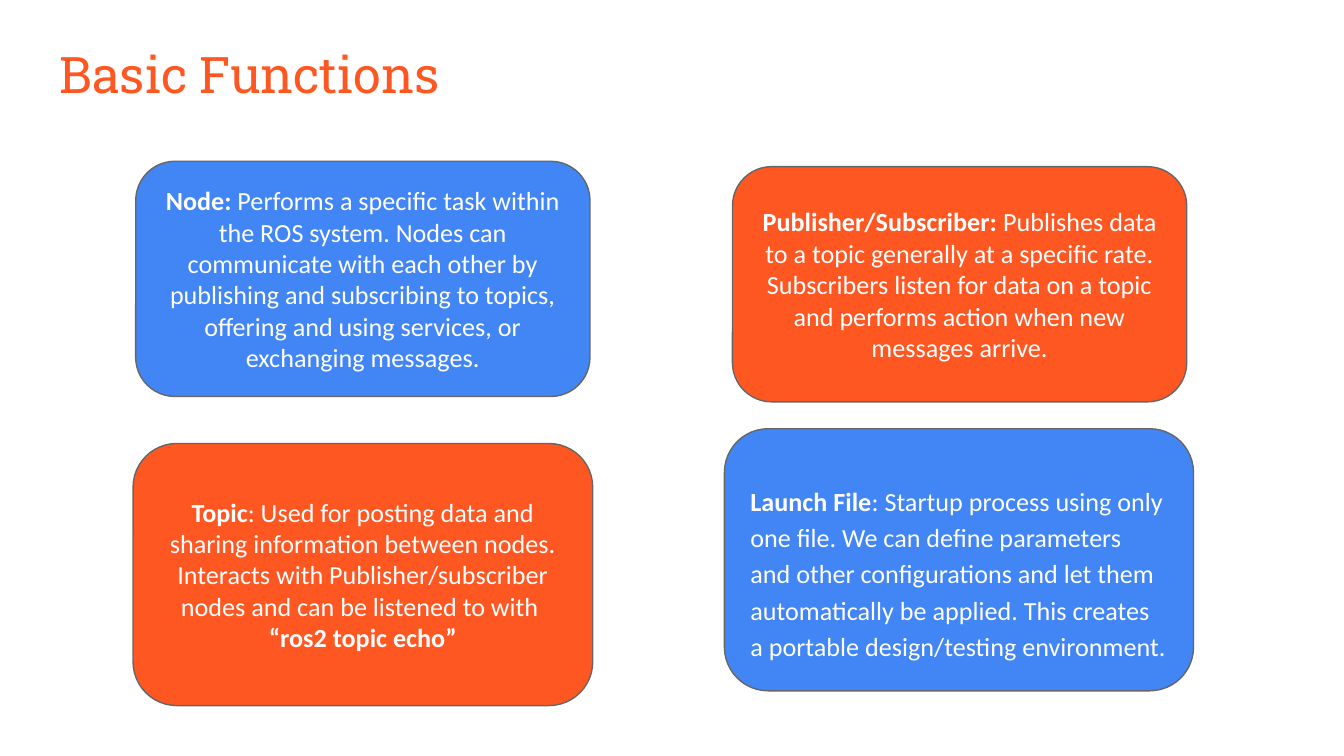
from dataclasses import dataclass

from pptx import Presentation
from pptx.dml.color import RGBColor
from pptx.enum.shapes import MSO_SHAPE
from pptx.enum.text import MSO_ANCHOR, MSO_AUTO_SIZE, PP_ALIGN
from pptx.util import Inches, Pt

ROUNDED = MSO_SHAPE.ROUNDED_RECTANGLE
TOP, MIDDLE = MSO_ANCHOR.TOP, MSO_ANCHOR.MIDDLE
LEFT, CENTER = PP_ALIGN.LEFT, PP_ALIGN.CENTER
NO_AUTOFIT = MSO_AUTO_SIZE.NONE
TITLE_ONLY = 5


@dataclass(frozen=True)
class Theme:
    """Colours, fonts and sizes of the slide."""
    orange: RGBColor = RGBColor(0xFF, 0x57, 0x22)
    blue: RGBColor = RGBColor(0x42, 0x85, 0xF4)
    outline: RGBColor = RGBColor(0x66, 0x66, 0x66)
    white: RGBColor = RGBColor(0xFF, 0xFF, 0xFF)
    title_font: str = "Roboto Slab"
    body_font: str = "Calibri"
    title_size: Pt = Pt(27)
    body_size: Pt = Pt(14)
    outline_width: Pt = Pt(0.75)
    inset: Inches = Inches(0.1)


THEME = Theme()
CENTERED = {"alignment": CENTER}
SPACED = {"alignment": LEFT, "line_spacing": 1.15}

# Each card: box, colour, paragraph format, top inset, paragraphs of (text, bold) runs
CARDS = [
    ((1.01, 1.2, 3.38, 1.75), THEME.blue, CENTERED, 0.1, [
        [("Node:", True),
         (" Performs a specific task within the ROS system. Nodes can "
          "communicate with each other by publishing and subscribing to "
          "topics, offering and using services, or exchanging messages.", False)],
    ]),
    ((0.99, 3.3, 3.42, 1.95), THEME.orange, CENTERED, 0.1, [
        [("Topic", True),
         (": Used for posting data and sharing information between nodes. "
          "Interacts with Publisher/subscriber nodes and can be listened to "
          "with ", False)],
        [("“ros2 topic echo”", True)],
    ]),
    ((5.45, 1.24, 3.38, 1.75), THEME.orange, CENTERED, 0.1, [
        [("Publisher/Subscriber:", True),
         (" Publishes data to a topic generally at a specific rate. "
          "Subscribers listen for data on a topic and performs action when "
          "new messages arrive.", False)],
    ]),
    ((5.39, 3.19, 3.49, 1.95), THEME.blue, SPACED, 0.27, [
        [("Launch File", True),
         (": Startup process using only one file. We can define parameters "
          "and other configurations and let them automatically be applied. "
          "This creates a portable design/testing environment.", False)],
    ]),
]


def apply_format(target, values):
    """Set every attribute named in values on target."""
    for name, value in values.items():
        setattr(target, name, value)


def format_frame(frame, anchor, top_inset=THEME.inset):
    """Give a text frame its insets, wrapping and anchor."""
    apply_format(frame, {
        "margin_left": THEME.inset, "margin_right": THEME.inset,
        "margin_top": top_inset, "margin_bottom": THEME.inset,
        "word_wrap": True, "auto_size": NO_AUTOFIT, "vertical_anchor": anchor,
    })


def add_run(paragraph, text, color, **font_values):
    """Append a coloured run with the given font values."""
    run = paragraph.add_run()
    run.text = text
    apply_format(run.font, font_values)
    run.font.color.rgb = color


def place_title(slide, box, text):
    """Fill the title placeholder and move it to box."""
    heading = slide.shapes.title
    apply_format(heading, dict(zip(("left", "top", "width", "height"),
                                   map(Inches, box))))
    format_frame(heading.text_frame, TOP)
    paragraph = heading.text_frame.paragraphs[0]
    paragraph.alignment = LEFT
    add_run(paragraph, text, THEME.orange,
            name=THEME.title_font, size=THEME.title_size)


def add_card(slide, box, color, paragraph_format, top_inset, paragraphs):
    """Draw one rounded card with its definition inside box."""
    card = slide.shapes.add_shape(ROUNDED, *map(Inches, box))
    card.shadow.inherit = False
    card.fill.solid()
    card.fill.fore_color.rgb = color
    card.line.color.rgb = THEME.outline
    card.line.width = THEME.outline_width
    frame = card.text_frame
    format_frame(frame, MIDDLE, Inches(top_inset))
    for index, runs in enumerate(paragraphs):
        paragraph = frame.add_paragraph() if index else frame.paragraphs[0]
        apply_format(paragraph, paragraph_format)
        for text, bold in runs:
            add_run(paragraph, text, THEME.white, name=THEME.body_font,
                    size=THEME.body_size, bold=bold)


def build_functions_slide(deck):
    """Add the slide with its title and four definition cards."""
    slide = deck.slides.add_slide(deck.slide_layouts[TITLE_ONLY])
    place_title(slide, (0.34, 0.22, 9.32, 0.63), "Basic Functions")
    for card in CARDS:
        add_card(slide, *card)


deck = Presentation()
deck.slide_width = Inches(10)
deck.slide_height = deck.slide_width * 9 // 16
build_functions_slide(deck)
deck.save("out.pptx")
